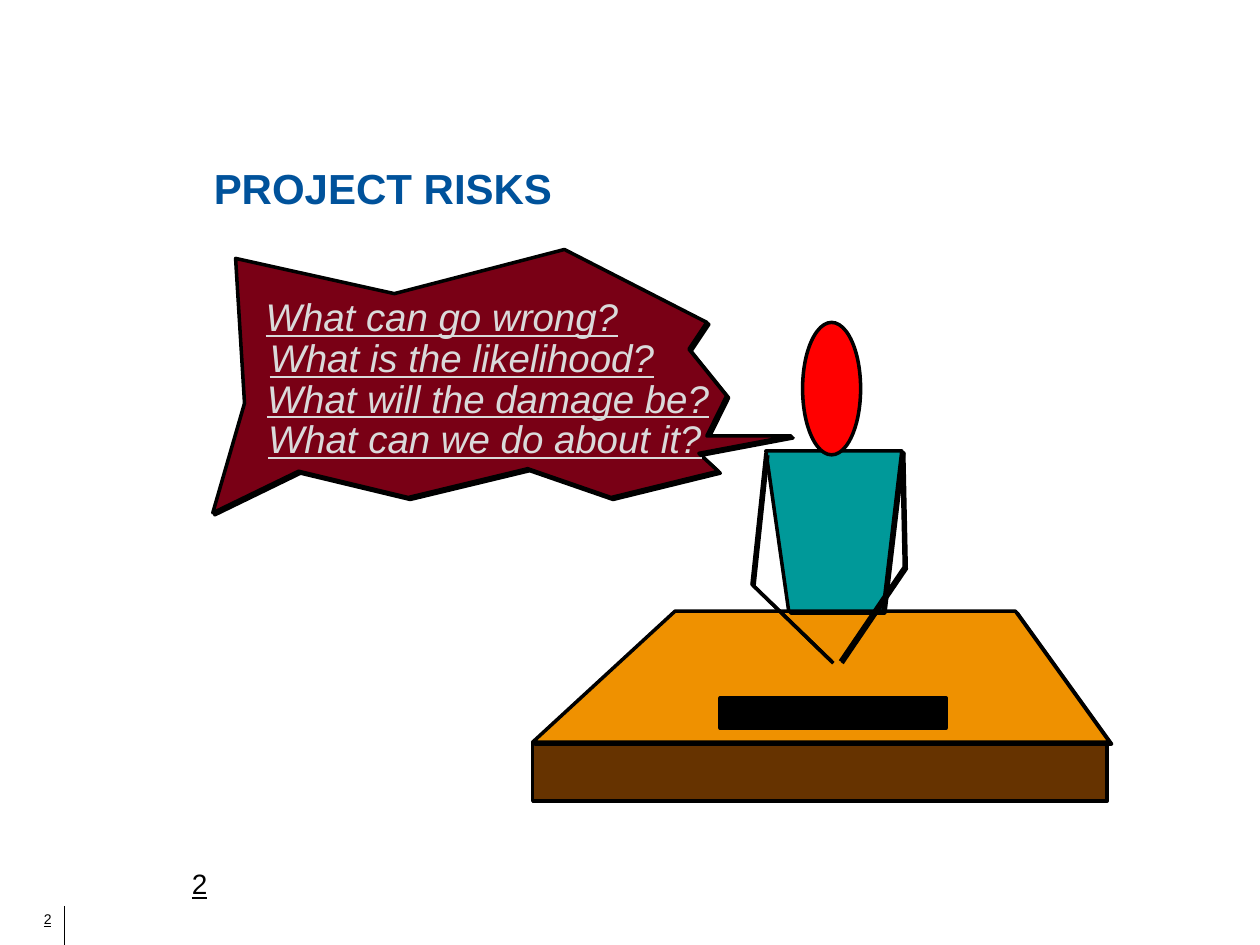
from dataclasses import dataclass

from pptx import Presentation
from pptx.dml.color import RGBColor
from pptx.enum.shapes import MSO_CONNECTOR, MSO_SHAPE
from pptx.enum.text import MSO_ANCHOR, PP_ALIGN
from pptx.oxml.ns import qn
from pptx.util import Cm, Pt
from lxml import etree

LEFT, CENTER, RIGHT = PP_ALIGN.LEFT, PP_ALIGN.CENTER, PP_ALIGN.RIGHT
MIDDLE, TOP = MSO_ANCHOR.MIDDLE, MSO_ANCHOR.TOP
RECTANGLE, OVAL = MSO_SHAPE.RECTANGLE, MSO_SHAPE.OVAL
STRAIGHT = MSO_CONNECTOR.STRAIGHT


@dataclass(frozen=True)
class Theme:
    font: str = "Arial"
    ink: str = "000000"
    heading: str = "00529B"
    speech: str = "DADADA"
    bubble: str = "790015"
    desk_top: str = "EF9100"
    desk_front: str = "663300"
    torso: str = "009999"
    head: str = "FF0000"
    heading_size: float = 24
    speech_size: float = 22
    number_size: float = 16
    footer_size: float = 8
    outline: float = 2
    rule: float = 0.75
    echo: float = 0.04


THEME = Theme()


def paint(shape, fill):
    shape.shadow.inherit = False
    if fill:
        shape.fill.solid()
        shape.fill.fore_color.rgb = RGBColor.from_string(fill)
    else:
        shape.fill.background()
    shape.line.color.rgb = RGBColor.from_string(THEME.ink)
    shape.line.width = Pt(THEME.outline)


def add_block(page, kind, left, top, width, height, fill):
    block = page.shapes.add_shape(kind, Cm(left), Cm(top), Cm(width), Cm(height))
    paint(block, fill)


def add_outline(page, left, top, points, fill=None):
    for shift, colour in ((THEME.echo, None), (0, fill)):
        corners = [(Cm(left + x + shift), Cm(top + y + shift)) for x, y in points]
        builder = page.shapes.build_freeform(*corners[0])
        builder.add_line_segments(corners[1:], close=fill is not None)
        paint(builder.convert_to_shape(), colour)


def add_text(page, box, text, size, colour, align=CENTER, anchor=TOP, wrap=True):
    label = page.shapes.add_textbox(*(Cm(length) for length in box))
    frame = label.text_frame
    frame.word_wrap = wrap
    frame.vertical_anchor = anchor
    frame.text = text
    para = frame.paragraphs[0]
    para.alignment = align
    font = para.runs[0].font
    font.name = THEME.font
    font.size = Pt(size)
    font.color.rgb = RGBColor.from_string(colour)
    return frame, font


def add_heading(page, left, top, width, height):
    frame, font = add_text(page, (left, top, width, height), "PROJECT RISKS",
                           THEME.heading_size, THEME.heading, LEFT, MIDDLE)
    font.bold = True


def add_bubble(page, left, top):
    jagged = [(11.66, 3.76), (9.8, 4.11), (10.19, 4.47), (8.03, 5), (6.35, 4.42),
              (3.94, 5), (1.73, 4.47), (0, 5.31), (0.64, 3.1), (0.46, 0.18),
              (3.66, 0.89), (7.09, 0), (9.96, 1.47), (9.6, 2.01), (10.36, 2.95),
              (9.96, 3.76)]
    add_outline(page, left, top, jagged, THEME.bubble)
    questions = [("What can go wrong?", 0.81, 7.62),
                 ("What is the likelihood?", 0.89, 8.26),
                 ("What will the damage be?", 0.84, 9.42),
                 ("What can we do about it?", 0.86, 9.25)]
    for row, (question, indent, width) in enumerate(questions):
        box = (left + indent, top + 0.76 + row * 0.82, width, 1.17)
        frame, font = add_text(page, box, question, THEME.speech_size,
                               THEME.speech, wrap=False)
        font.italic = True
        font.underline = True


def add_desk(page, left, top):
    add_block(page, RECTANGLE, left, top + 2.64, 11.58, 1.19, THEME.desk_front)
    surface = [(0, 2.64), (2.87, 0), (9.73, 0), (11.63, 2.64)]
    add_outline(page, left, top, surface, THEME.desk_top)
    add_block(page, RECTANGLE, left + 3.78, top + 1.75, 4.55, 0.61, THEME.ink)


def add_speaker(page, left, top):
    torso = [(0.74, 5.82), (0.28, 2.59), (3.02, 2.59), (2.64, 5.82)]
    left_arm = [(0.28, 2.64), (0, 5.28), (1.6, 6.83)]
    right_arm = [(3.02, 2.59), (3.07, 4.93), (1.78, 6.83)]
    add_outline(page, left, top, torso, THEME.torso)
    add_outline(page, left, top, left_arm)
    add_outline(page, left, top, right_arm)
    add_block(page, OVAL, left + 1.02, top, 1.17, 2.67, THEME.head)


def add_footer(page, left, top):
    rule = page.shapes.add_connector(STRAIGHT, Cm(left + 1.17), Cm(top + 0.02),
                                     Cm(left + 1.17), Cm(top + 0.81))
    rule.line.color.rgb = RGBColor.from_string(THEME.ink)
    rule.line.width = Pt(THEME.rule)
    etree.SubElement(rule.element.spPr, qn("a:effectLst"))
    frame, font = add_text(page, (left, top, 0.91, 0.58), "2",
                           THEME.footer_size, THEME.ink, RIGHT)
    frame.margin_right = 0
    font.underline = True


def add_page_number(page, left, top, width, height):
    frame, font = add_text(page, (left, top, width, height), "2",
                           THEME.number_size, THEME.ink)
    font.underline = True


def main():
    deck = Presentation()
    deck.slide_width, deck.slide_height = Cm(25.4), Cm(19.05)
    page = deck.slides.add_slide(deck.slide_layouts[6])
    add_footer(page, 0.13, 18.24)
    add_heading(page, 4.06, 3.1, 18.24, 1.35)
    add_page_number(page, 0, 17.35, 8.05, 1.27)
    add_bubble(page, 4.29, 5.03)
    add_desk(page, 10.74, 12.32)
    add_speaker(page, 15.16, 6.5)
    deck.save("out.pptx")


if __name__ == "__main__":
    main()
